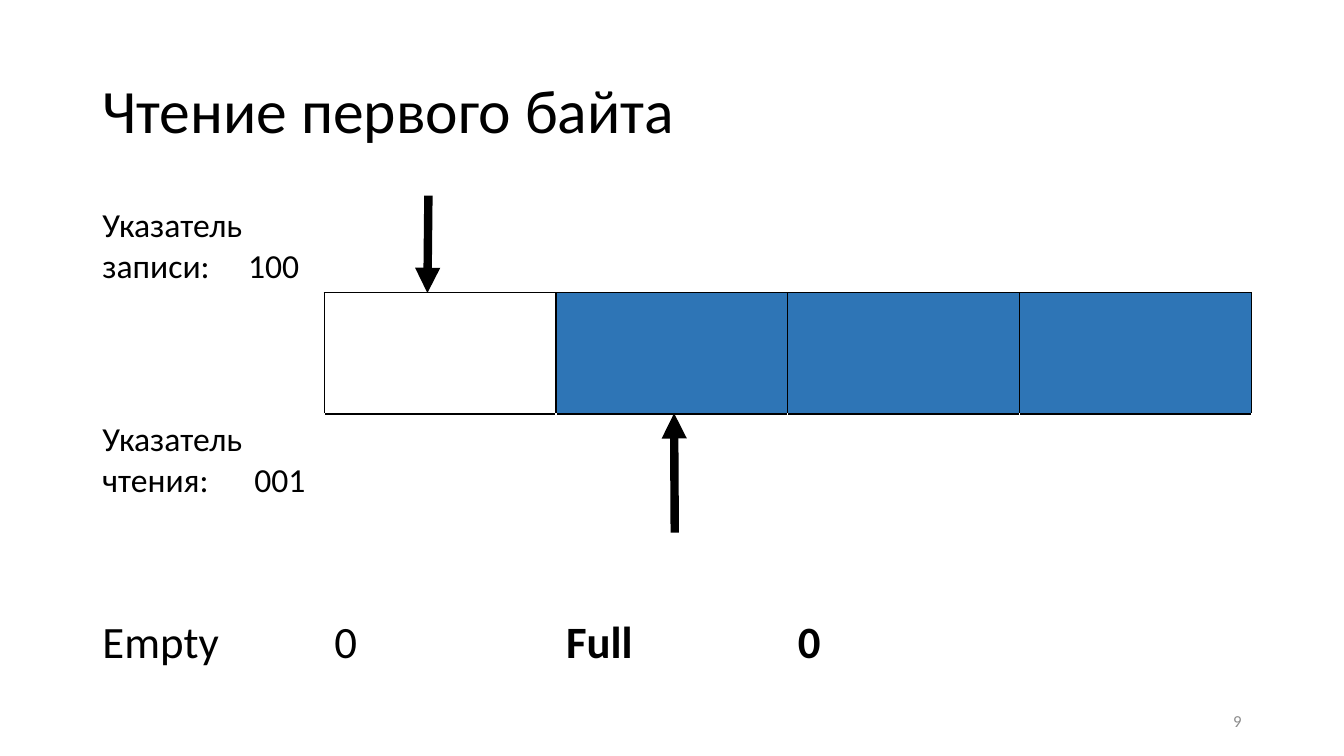
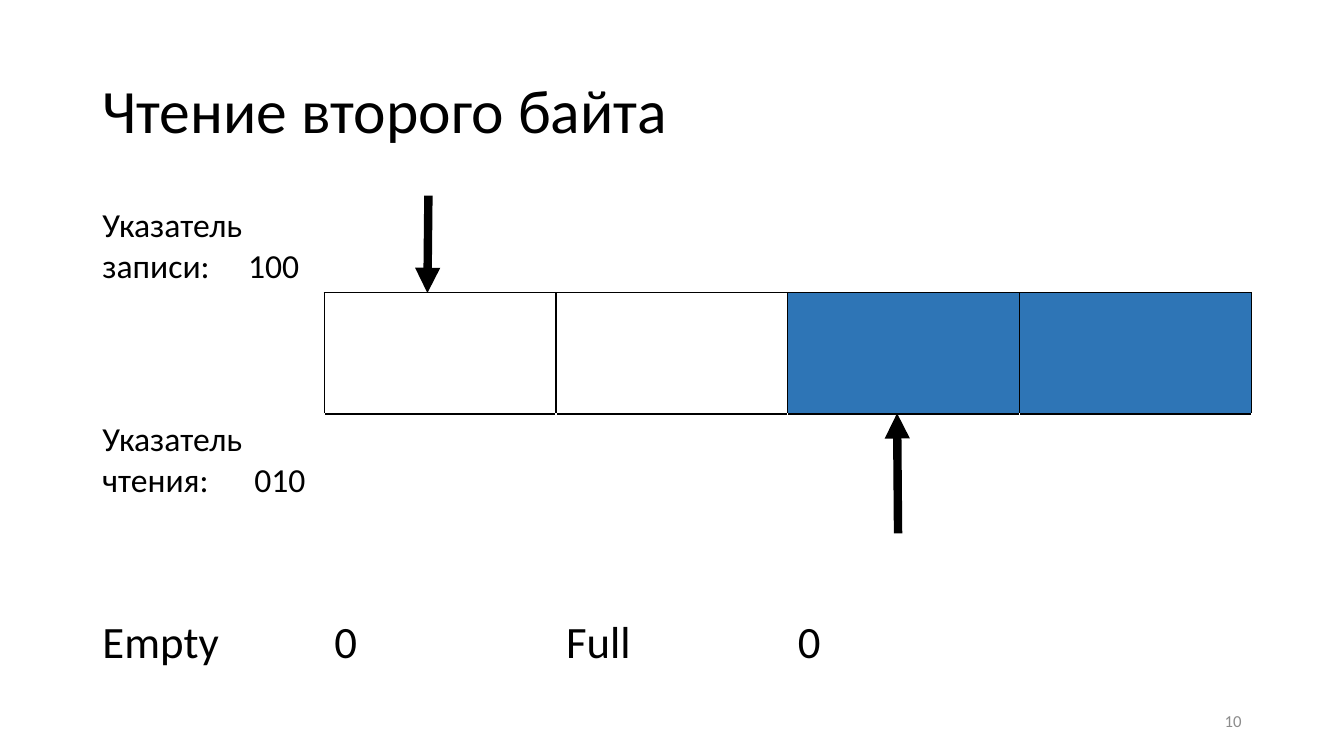
import pptx
import pptx.dml.color
import pptx.enum.shapes
import pptx.enum.text
import pptx.oxml
import pptx.oxml.ns
import pptx.util
import lxml.etree

Pt = pptx.util.Pt
RGB = pptx.dml.color.RGBColor.from_string
ANCHOR = pptx.enum.text.MSO_ANCHOR
ALIGN = pptx.enum.text.PP_ALIGN
qn = pptx.oxml.ns.qn

COLORS = {"ink": "000000", "paper": "FFFFFF", "full": "2E75B6", "number": "8C8C8C"}
FORMATS = {
    "title": {"name": "Calibri", "size": Pt(44), "bold": False},
    "pointer": {"name": "Calibri", "size": Pt(24), "bold": False},
    "flag": {"name": "Calibri", "size": Pt(32), "bold": False},
    "number": {"name": "Calibri", "size": Pt(12), "bold": False},
}
LEFT, WIDTH = 66, 828
COLUMNS = 5
ROW_HEIGHTS = [86.7, 86.7, 99.9, 86.7]
BUFFER_ROW = 1
# Border tag: row and column step to the neighbouring cell
SIDES = {"lnL": (0, -1), "lnR": (0, 1), "lnT": (-1, 0), "lnB": (1, 0)}

STEPS = [
    {"title": "Чтение первого байта", "read": "001", "first_full": 2,
     "read_arrow": (482, 380.5, 481.5, 295.2), "full_bold": True, "number": "9"},
    {"title": "Чтение второго байта", "read": "010", "first_full": 3,
     "read_arrow": (641.5, 381, 640.8, 295.2), "full_bold": False, "number": "10"},
]
WRITE_ARROW = (306, 139.7, 305.3, 209.3)


def write(frame, text, style, color="ink", tab=None, **changes):
    paragraph = frame.paragraphs[0]
    paragraph.text = text
    if tab:
        tabs = lxml.etree.SubElement(paragraph._p.get_or_add_pPr(), qn("a:tabLst"))
        lxml.etree.SubElement(tabs, qn("a:tab"), pos=str(Pt(tab)), algn="l")
    font = paragraph.runs[0].font
    for attribute, value in {**FORMATS[style], **changes}.items():
        setattr(font, attribute, value)
    font.color.rgb = RGB(COLORS[color])
    return paragraph


def is_buffer(row, column):
    return row == BUFFER_ROW and 1 <= column < COLUMNS


prs = pptx.Presentation()
prs.slide_width, prs.slide_height = Pt(960), Pt(540)

for step in STEPS:
    slide = prs.slides.add_slide(prs.slide_layouts[5])

    # Title
    title = slide.shapes.title
    title.left, title.top, title.width, title.height = Pt(LEFT), Pt(28.8), Pt(WIDTH), Pt(104.4)
    title.text_frame.vertical_anchor = ANCHOR.MIDDLE
    title.text_frame.auto_size = pptx.enum.text.MSO_AUTO_SIZE.NONE
    heading = write(title.text_frame, step["title"], "title")
    heading.alignment = ALIGN.LEFT
    heading.line_spacing = 0.9

    # Buffer table: pointers, cells and flags
    table = slide.shapes.add_table(len(ROW_HEIGHTS), COLUMNS, Pt(LEFT), Pt(122.4),
                                   Pt(WIDTH), Pt(sum(ROW_HEIGHTS))).table
    table.first_row = table.horz_banding = False
    for column in table.columns:
        column.width = Pt(WIDTH / COLUMNS)
    for r, height in enumerate(ROW_HEIGHTS):
        table.rows[r].height = Pt(height)
        for c in range(COLUMNS):
            cell = table.cell(r, c)
            properties = cell._tc.get_or_add_tcPr()
            for side, (down, right) in SIDES.items():
                inked = is_buffer(r, c) or is_buffer(r + down, c + right)
                border = lxml.etree.SubElement(properties, qn("a:" + side), w=str(Pt(1)))
                solid = lxml.etree.SubElement(border, qn("a:solidFill"))
                lxml.etree.SubElement(solid, qn("a:srgbClr"),
                                      val=COLORS["ink" if inked else "paper"])
            if is_buffer(r, c) and c >= step["first_full"]:
                cell.fill.solid()
                cell.fill.fore_color.rgb = RGB(COLORS["full"])
            else:
                cell.fill.background()
            cell.vertical_anchor = ANCHOR.TOP if r == 2 else ANCHOR.BOTTOM

    write(table.cell(0, 0).text_frame, "Указатель записи:\t100", "pointer", tab=104)
    write(table.cell(2, 0).text_frame, f"Указатель чтения:\t{step['read']}", "pointer", tab=108.5)
    for c, flag in enumerate(["Empty", "0", "Full", "0"]):
        write(table.cell(3, c).text_frame, flag, "flag", bold=step["full_bold"] and c >= 2)

    # Write and read pointer arrows
    for ends in (WRITE_ARROW, step["read_arrow"]):
        arrow = slide.shapes.add_connector(pptx.enum.shapes.MSO_CONNECTOR.STRAIGHT,
                                           *[Pt(end) for end in ends])
        arrow.line.width = Pt(6)
        arrow.line.color.rgb = RGB(COLORS["ink"])
        lxml.etree.SubElement(arrow.line._get_or_add_ln(), qn("a:tailEnd"), type="triangle")
        lxml.etree.SubElement(arrow._element.spPr, qn("a:effectLst"))

    # Slide number
    number = slide.shapes.add_textbox(Pt(678), Pt(500.5), Pt(216), Pt(28.8)).text_frame
    number.word_wrap = True
    number.vertical_anchor = ANCHOR.MIDDLE
    write(number, step["number"], "number", "number").alignment = ALIGN.RIGHT

prs.save("out.pptx")
